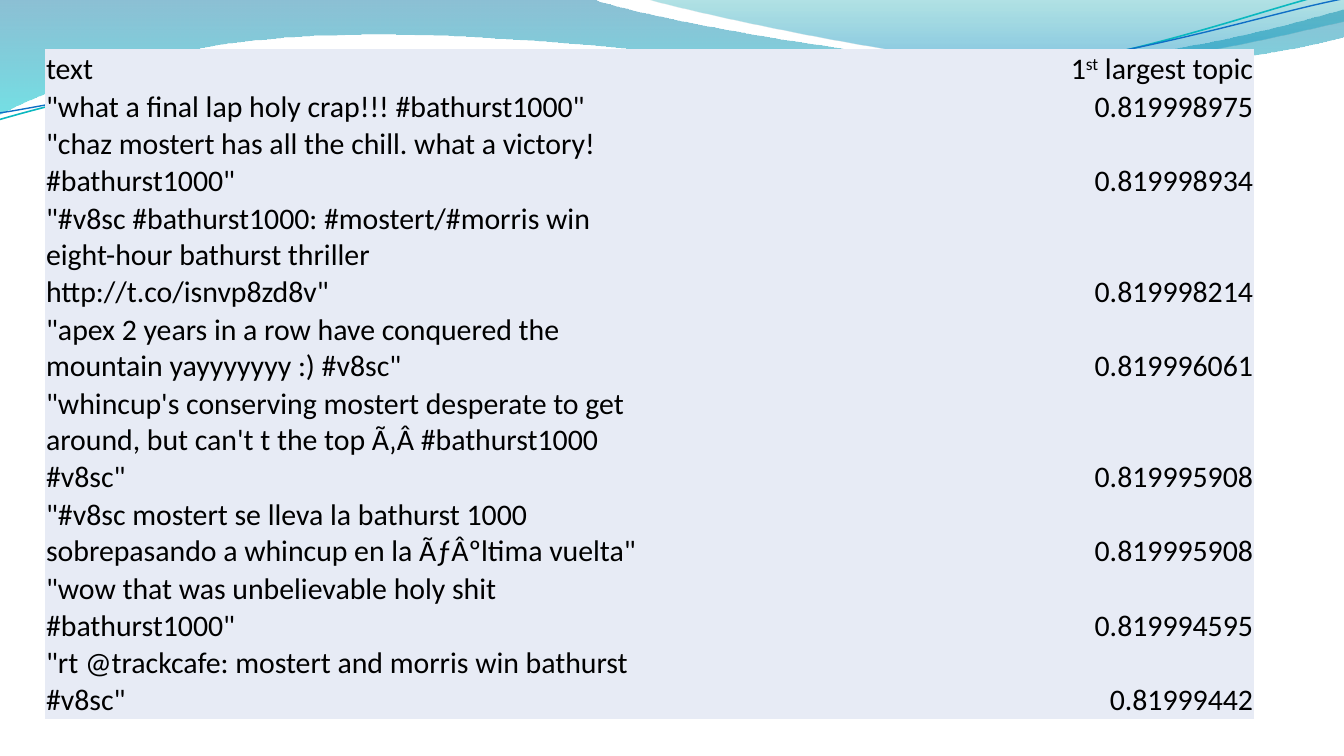
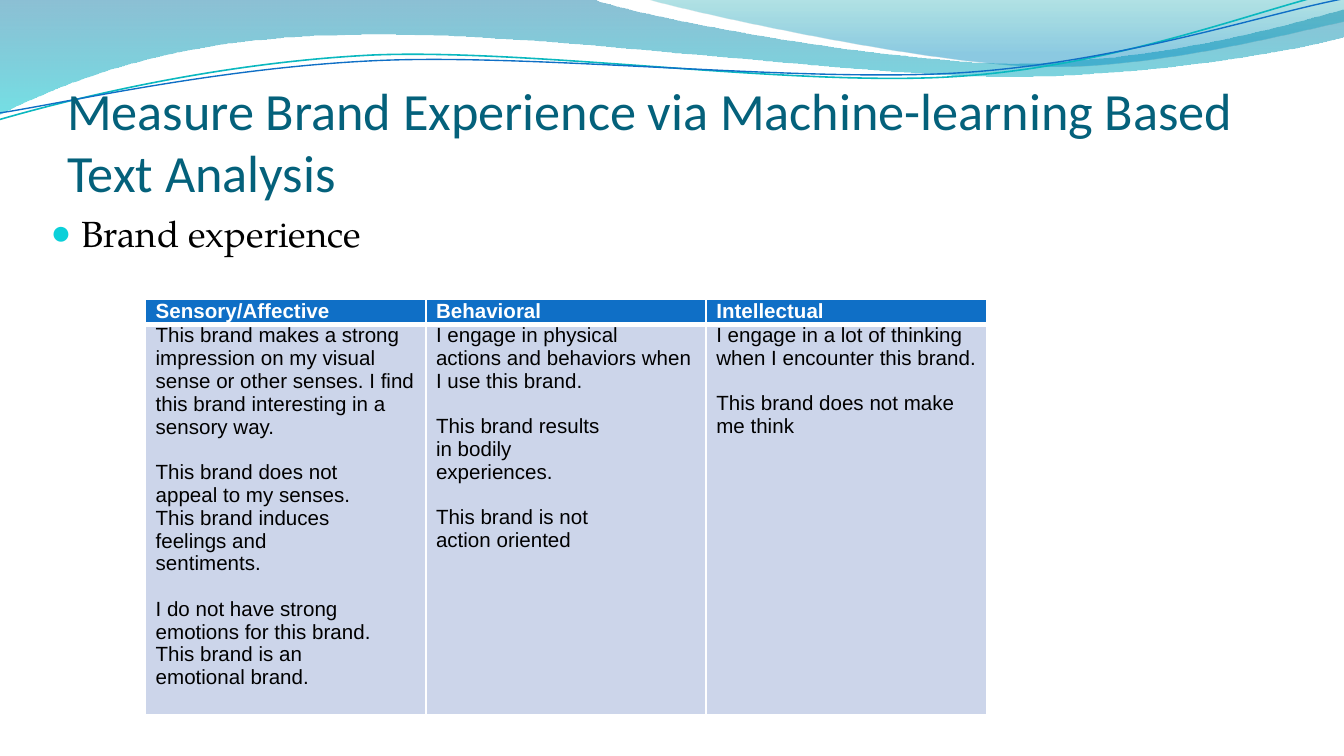
from lxml.etree import SubElement
from pptx import Presentation
from pptx.dml.color import RGBColor
from pptx.enum.text import MSO_ANCHOR, PP_ALIGN
from pptx.oxml.ns import qn
from pptx.util import Pt

# Colours
BLACK = RGBColor(0x00, 0x00, 0x00)
WHITE = RGBColor(0xFF, 0xFF, 0xFF)
TITLE_TEAL = RGBColor(0x04, 0x61, 0x7B)
BULLET_CYAN = RGBColor(0x0B, 0xD0, 0xD9)
HEADER_BLUE = RGBColor(0x0F, 0x6F, 0xC6)
BODY_BLUE = RGBColor(0xCC, 0xD5, 0xEA)
PALE_BLUE = RGBColor(0xE7, 0xEB, 0xF5)
LINE_TEAL = RGBColor(0x0A, 0xB8, 0xBF)
WAVE_BLUE = RGBColor(0x00, 0x74, 0xA1)
WAVE_CYAN = RGBColor(0x00, 0xC6, 0xCF)
CREST_TEAL = RGBColor(0x00, 0xA1, 0xA9)
CREST_BLUE = RGBColor(0x00, 0x8B, 0xBF)

NO_STYLE = "{2D5ABB26-0587-4C30-8999-92F81FD0307C}"

# Outlines in points: each step is a line (one point) or a Bézier curve (three)
WAVE = [
    [(0, 0)], [(317, -0.7)],
    [(343, 9.4), (478, 33.8), (546, 33.8)], [(614, 33.8), (690, 13.7), (720, 5)],
    [(721, 19.4)],
    [(708, 23.8), (626, 41), (537, 41)], [(448, 40.3), (275, 15.1), (185, 18.7)],
    [(93, 19.4), (33, 44.6), (-0.7, 61.2)],
]
CREST = [
    [(345, -0.7)], [(366, 5.8), (491, 33.1), (554, 35.3)],
    [(616, 37.4), (692, 17.3), (720, 11.5)], [(720, 0)],
]
TEAL_CURVE = [
    [(0, 64)], [(34.6, 54), (113.8, 33.8), (199.4, 29.5)],
    [(285, 25.9), (426, 46.8), (512.6, 41)], [(600, 35.3), (676, 4.3), (718.6, -5)],
]
BLUE_CURVE = [
    [(0, 60.5)], [(33.8, 55.4), (118, 36), (203.8, 32.4)],
    [(290, 28.8), (430, 44.6), (516, 38.9)], [(602, 33.1), (678, 7.2), (720, -0.7)],
]

# Tweet, its topic weight, and the number of lines it fills
TWEETS = [
    ('"what a final lap holy crap!!! #bathurst1000"', "0.819998975", 1),
    ('"chaz mostert has all the chill. what a victory! #bathurst1000"', "0.819998934", 2),
    ('"#v8sc #bathurst1000: #mostert/#morris win eight-hour bathurst thriller '
     'http://t.co/isnvp8zd8v"', "0.819998214", 3),
    ('"apex 2 years in a row have conquered the mountain yayyyyyyy :) #v8sc"',
     "0.819996061", 2),
    ('"whincup\'s conserving mostert desperate to get around, but can\'t t the top '
     'Ã‚Â #bathurst1000 #v8sc"', "0.819995908", 3),
    ('"#v8sc mostert se lleva la bathurst 1000 sobrepasando a whincup en la '
     'ÃƒÂºltima vuelta"', "0.819995908", 2),
    ('"wow that was unbelievable holy shit #bathurst1000"', "0.819994595", 2),
    ('"rt @trackcafe: mostert and morris win bathurst #v8sc"', "0.81999442", 2),
]

# Each column holds groups of lines, set apart by a gap
EXPERIENCES = {
    "Sensory/Affective": [
        ["This brand makes a strong impression on my visual sense or other senses. "
         "I find this brand interesting in a sensory way."],
        ["This brand does not", "appeal to my senses.", "This brand induces",
         "feelings and", "sentiments."],
        ["I do not have strong", "emotions for this brand.", "This brand is an",
         "emotional brand."],
    ],
    "Behavioral": [
        ["I engage in physical", "actions and behaviors when I use this brand."],
        ["This brand results", "in bodily", "experiences."],
        ["This brand is not", "action oriented"],
    ],
    "Intellectual": [
        ["I engage in a lot of thinking when I encounter this brand."],
        ["This brand does not make me think"],
    ],
}


def format_runs(paragraph, font_name, size, color, bold=False):
    for run in paragraph.runs:
        run.font.name = font_name
        run.font.size = Pt(size)
        run.font.color.rgb = color
        run.font.bold = bold


def set_insets(target, left, top, right, bottom):
    target.margin_left, target.margin_top = Pt(left), Pt(top)
    target.margin_right, target.margin_bottom = Pt(right), Pt(bottom)


def add_outline(slide, steps, closed):
    """Build a freeform through the step ends, then bend the curved steps."""
    ends = [(Pt(step[-1][0]), Pt(step[-1][1])) for step in steps]
    builder = slide.shapes.build_freeform(*ends[0])
    builder.add_line_segments(ends[1:], close=closed)
    shape = builder.convert_to_shape()
    shape.shadow.inherit = False
    segments = list(shape._element.iter(qn("a:lnTo")))
    for segment, step in zip(segments, steps[1:]):
        if len(step) == 3:
            segment.tag = qn("a:cubicBezTo")
            segment.remove(segment[0])
            for x, y in step:
                SubElement(segment, qn("a:pt"), x=str(Pt(x) - shape.left),
                           y=str(Pt(y) - shape.top))
    return shape


def add_gradient_area(slide, steps, stops):
    shape = add_outline(slide, steps, closed=True)
    shape.line.fill.background()
    shape.fill.gradient()
    shape.fill.gradient_angle = 270
    for stop, (position, color, _) in zip(shape.fill.gradient_stops, stops):
        stop.position = position
        stop.color.rgb = color
    gradient = shape._element.spPr.find(qn("a:gradFill"))
    for element, (_, _, opacity) in zip(gradient.iter(qn("a:srgbClr")), stops):
        SubElement(element, qn("a:alpha")).set("val", str(opacity * 1000))
    return shape


def add_wave_band(slide):
    """Draw the band of waves and move it to the layout that all slides share."""
    shapes = [
        add_gradient_area(slide, WAVE, [(0, WAVE_BLUE, 45), (1, WAVE_CYAN, 55)]),
        add_gradient_area(slide, CREST, [(0, CREST_TEAL, 30), (0.8, CREST_BLUE, 45)]),
    ]
    for steps, color, width in ((TEAL_CURVE, LINE_TEAL, 0.85),
                                (BLUE_CURVE, HEADER_BLUE, 0.75)):
        curve = add_outline(slide, steps, closed=False)
        curve.fill.background()
        curve.line.color.rgb = color
        curve.line.width = Pt(width)
        shapes.append(curve)
    for number, shape in enumerate(shapes, start=101):
        shape._element.nvSpPr.cNvPr.set("id", str(number))
        slide.slide_layout.shapes._spTree.append(shape._element)


def add_plain_table(slide, box, row_heights, column_count):
    left, top, width, height = box
    frame = slide.shapes.add_table(
        len(row_heights), column_count, Pt(left), Pt(top), Pt(width), Pt(height))
    table = frame.table
    table._tbl.tblPr.find(qn("a:tableStyleId")).text = NO_STYLE
    for column in table.columns:
        column.width = Pt(width / column_count)
    for row, row_height in zip(table.rows, row_heights):
        row.height = Pt(row_height)
    frame.height = Pt(height)
    return table


def fill_cell(cell, color):
    cell.fill.solid()
    cell.fill.fore_color.rgb = color


def add_borders(cell, bottom):
    properties = cell._tc.get_or_add_tcPr()
    for side, width in (("L", 1), ("R", 1), ("T", 1), ("B", bottom)):
        line = SubElement(properties, qn("a:ln" + side), w=str(Pt(width)))
        fill = SubElement(line, qn("a:solidFill"))
        SubElement(fill, qn("a:srgbClr"), val=str(WHITE))


def add_tweet_table(slide, box):
    line_counts = [1] + [tweet[2] for tweet in TWEETS]
    line_height = box[3] / sum(line_counts)
    table = add_plain_table(slide, box, [line_height * n for n in line_counts], 2)
    rows = [("text", "")] + [tweet[:2] for tweet in TWEETS]
    for row_index, texts in enumerate(rows):
        for column_index, text in enumerate(texts):
            cell = table.cell(row_index, column_index)
            fill_cell(cell, PALE_BLUE)
            set_insets(cell, 0.7, 0.7, 0.7, 0)
            cell.vertical_anchor = MSO_ANCHOR.BOTTOM
            paragraph = cell.text_frame.paragraphs[0]
            if text:
                paragraph.text = text
            else:
                # Heading with a raised ordinal
                for part in ("1", "st", " largest topic"):
                    paragraph.add_run().text = part
                paragraph.runs[1].font._element.set("baseline", "30000")
            paragraph.alignment = PP_ALIGN.RIGHT if column_index else PP_ALIGN.LEFT
            format_runs(paragraph, "Calibri", 16, BLACK)


def add_experience_table(slide, box):
    # Rows grow to fit their text
    table = add_plain_table(slide, box, [0, 0], len(EXPERIENCES))
    for column_index, (heading, groups) in enumerate(EXPERIENCES.items()):
        header, body = (table.cell(row, column_index) for row in (0, 1))
        add_borders(header, bottom=3)
        add_borders(body, bottom=1)
        for cell, color in ((header, HEADER_BLUE), (body, BODY_BLUE)):
            fill_cell(cell, color)
            set_insets(cell, 5.4, 0, 5.4, 0)
        header.text_frame.text = heading
        format_runs(header.text_frame.paragraphs[0], "Arial", 11, WHITE, bold=True)

        body.text_frame.text = "\n".join(line for group in groups for line in group)
        paragraphs = iter(body.text_frame.paragraphs)
        for group_index, group in enumerate(groups):
            for line_index in range(len(group)):
                paragraph = next(paragraphs)
                if group_index and not line_index:
                    paragraph.space_before = Pt(12)
                format_runs(paragraph, "Arial", 11, BLACK)


def add_text(slide, box, text, insets, anchor, font):
    frame = slide.shapes.add_textbox(*map(Pt, box)).text_frame
    frame.word_wrap = True
    frame.vertical_anchor = anchor
    set_insets(frame, *insets)
    frame.text = text
    paragraph = frame.paragraphs[0]
    format_runs(paragraph, *font)
    return paragraph


def add_title(slide, box, text):
    add_text(slide, box, text, (0, 3.6, 0, 0), MSO_ANCHOR.BOTTOM,
             ("Calibri", 28, TITLE_TEAL))


def add_bullet(slide, box, text):
    paragraph = add_text(slide, box, text, (7.2, 3.6, 7.2, 3.6), MSO_ANCHOR.TOP,
                         ("TeX Gyre Pagella", 19.5, BLACK))
    properties = paragraph._p.get_or_add_pPr()
    properties.set("marL", str(Pt(16.6)))
    properties.set("indent", str(Pt(-16.6)))
    color = SubElement(properties, qn("a:buClr"))
    SubElement(color, qn("a:srgbClr"), val=str(BULLET_CYAN))
    SubElement(properties, qn("a:buSzPct"), val="95000")
    SubElement(properties, qn("a:buFont"), typeface="Arial")
    SubElement(properties, qn("a:buChar"), char="●")


def main():
    presentation = Presentation()
    presentation.slide_width, presentation.slide_height = Pt(720), Pt(405)
    blank = presentation.slide_layouts[6]

    # Tweets with their topic weight
    slide = presentation.slides.add_slide(blank)
    add_wave_band(slide)
    add_tweet_table(slide, (24, 26.5, 648, 352))

    # Brand experience scales
    slide = presentation.slides.add_slide(blank)
    add_title(slide, (36, 41.5, 648, 67.5),
              "Measure Brand Experience via Machine-learning Based Text Analysis")
    add_bullet(slide, (20, 109.5, 648, 259), "Brand experience")
    add_experience_table(slide, (78, 160.5, 450.6, 224.6))

    presentation.save("out.pptx")


if __name__ == "__main__":
    main()
